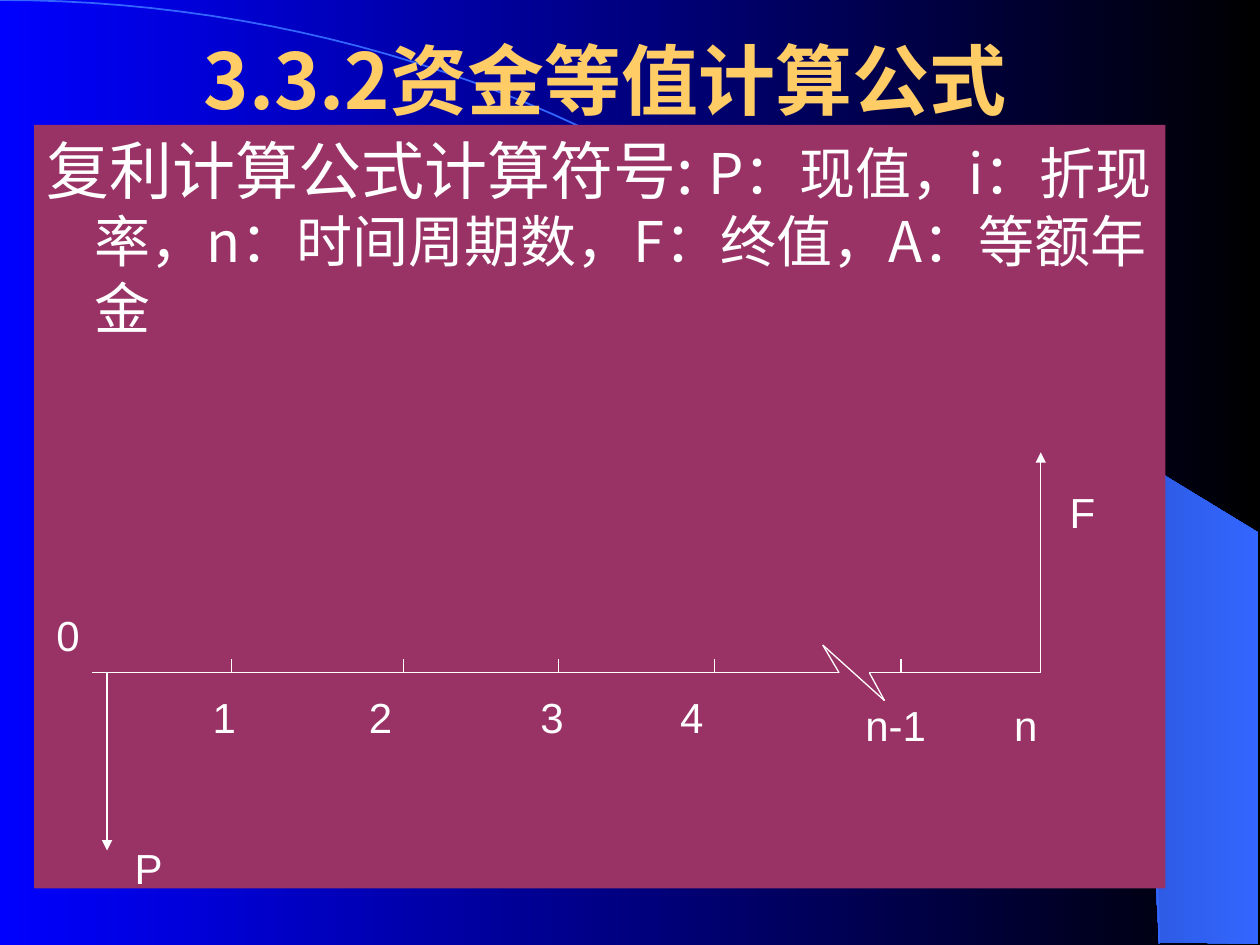
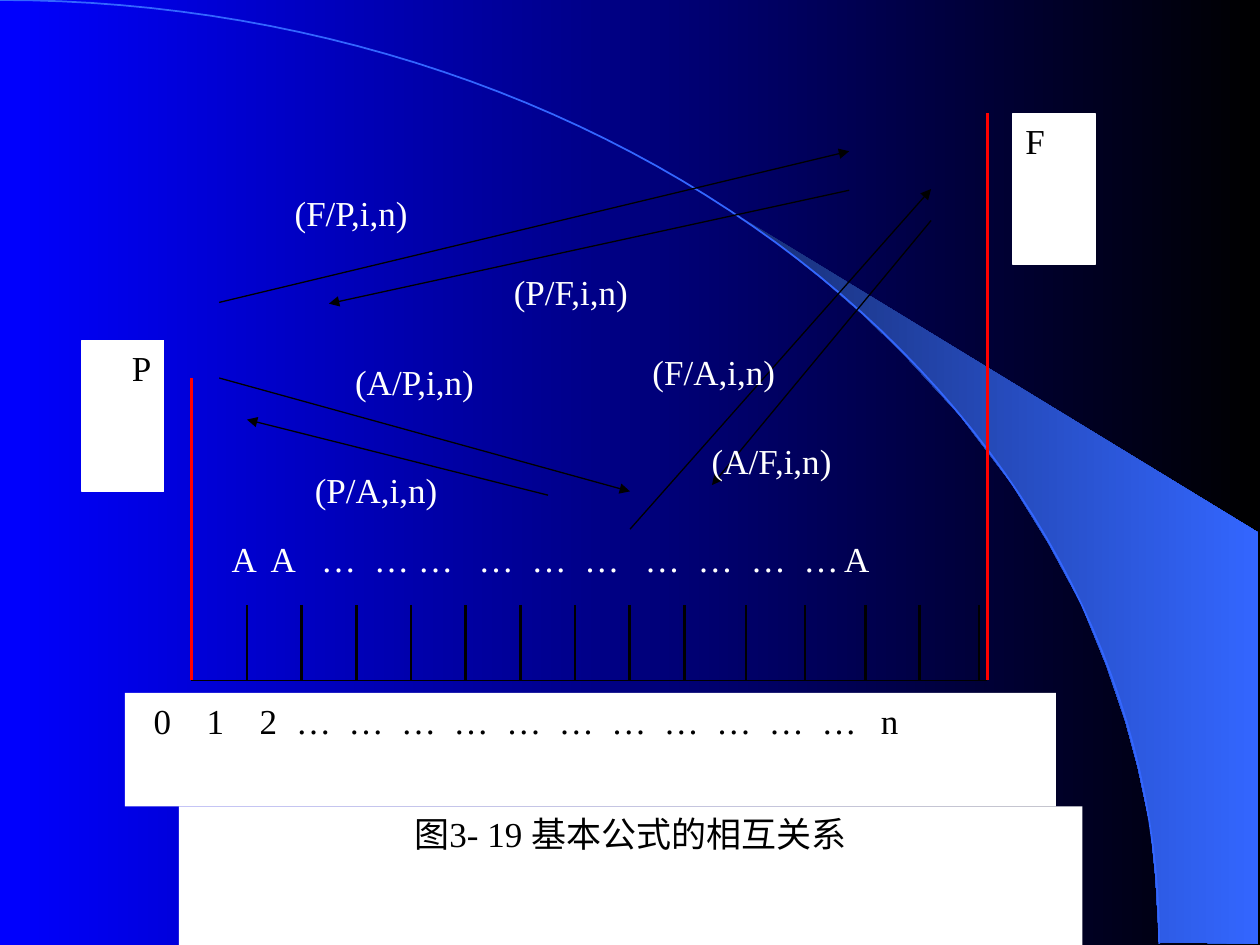
from itertools import pairwise
from math import cos, pi, sin

from lxml import etree
from pptx import Presentation
from pptx.dml.color import RGBColor
from pptx.enum.shapes import MSO_CONNECTOR, MSO_SHAPE
from pptx.enum.text import MSO_ANCHOR, MSO_AUTO_SIZE, PP_ALIGN
from pptx.oxml.ns import qn
from pptx.util import Inches, Pt

LINE, RECT = MSO_CONNECTOR.STRAIGHT, MSO_SHAPE.RECTANGLE
LEFT, MID, RIGHT = PP_ALIGN.LEFT, PP_ALIGN.CENTER, PP_ALIGN.RIGHT

HUES = {"blue": "0000FF", "black": "000000", "navy": "182F76",
        "sky": "3366FF", "plum": "993366", "white": "FFFFFF",
        "gold": "FFCC66", "red": "FF0000"}
SANS, SERIF, HAN = "Arial", "Times New Roman", "Noto Sans CJK SC"

# Shared backdrop: a wedge beside a quarter ellipse
WEDGE = [(9.2, 7.48), (9.99, 7.49), (9.99, 4.23), (5.89, 1.73), (6.24, 1.99),
         (6.53, 2.22), (6.85, 2.5), (7.16, 2.8), (7.62, 3.3), (8.03, 3.84),
         (8.32, 4.31), (8.58, 4.79), (8.78, 5.28), (8.93, 5.72), (9.03, 6.09),
         (9.13, 6.56), (9.17, 6.96)]
ARC_W, ARC_H, ARC_N = 9.2, 7.49, 60

# Slide 1: symbols on a time axis
TITLE = "3.3.2资金等值计算公式"
TERMS = [("复利计算公式计算符号: ", 36),
         ("P：现值，i：折现率，n：时间周期数，F：终值，A：等额年金", 32)]
AXIS_Y = 5.34
AXIS = [(0.73, AXIS_Y), (6.66, AXIS_Y), (6.53, 5.12), (7.02, 5.56),
        (6.9, AXIS_Y), (8.26, AXIS_Y)]
FLOWS = [((0.85, AXIS_Y), (0.85, 6.75)), ((8.26, AXIS_Y), (8.26, 3.59))]
TICKS = [1.84, 3.2, 4.43, 5.67, 7.15]
MARKS = [("0", 0.35, 4.79), ("1", 1.59, 5.44), ("2", 2.83, 5.44),
         ("3", 4.19, 5.44), ("4", 5.3, 5.44), ("n-1", 6.77, 5.5),
         ("n", 7.95, 5.5), ("P", 0.97, 6.64), ("F", 8.39, 3.81)]

# Slide 2: how the formulas relate
BASE, TOP = 5.4, 4.8
BARS = [1.96 + 0.434 * i for i in range(9)] + [5.92, 6.39, 6.87, 7.3, 7.77]
ENDS = [(1.52, 3), (7.84, 0.9)]
LINKS = [((1.74, 2.4), (6.74, 1.2)), ((6.74, 1.51), (2.61, 2.41)),
         ((1.74, 3), (5, 3.9)), ((4.35, 3.93), (1.96, 3.33)),
         ((5, 4.2), (7.39, 1.5)), ((7.39, 1.75), (5.65, 3.85))]
RATES = [("(F/P,i,n)", 2.24, 1.47), ("(P/F,i,n)", 3.98, 2.1),
         ("(A/P,i,n)", 2.72, 2.81), ("(P/A,i,n)", 2.4, 3.67),
         ("(F/A,i,n)", 5.08, 2.73), ("(A/F,i,n)", 5.55, 3.44)]
SUMS = ["A", "A"] + ["…"] * 10 + ["A"]
SUM_TABS = [0.31, 0.71, 1.13, 1.48, 1.96, 2.38, 2.8, 3.28, 3.7, 4.12, 4.54, 4.86]
YEARS = ["0", "1", "2"] + ["…"] * 11 + ["n"]
YEAR_TABS = [0.42, 0.84] + [1.13 + 0.417 * i for i in range(11)] + [5.77]
CAPTION = "图3- 19 基本公式的相互关系"
# text, box, alignment, edge, left inset, tab stops
CARDS = [("\t".join(YEARS), (0.99, 5.5, 7.39, 0.9), LEFT, None, 0.23, YEAR_TABS),
         (CAPTION, (1.42, 6.4, 7.17, 1.1), MID, None, 0.1, []),
         ("P", (0.65, 2.7, 0.65, 1.2), RIGHT, "white", 0.1, []),
         ("F", (8.04, 0.9, 0.65, 1.2), LEFT, "white", 0.1, [])]


def rgb(hue):
    return RGBColor.from_string(HUES[hue])


def blend(fill, *hues):
    fill.gradient()
    fill.gradient_angle = 0
    for stop, hue in zip(fill.gradient_stops, hues):
        stop.color.rgb = rgb(hue)


def style(run, size, font, hue, bold=False):
    run.font.size, run.font.name, run.font.bold = Pt(size), font, bold
    run.font.color.rgb = rgb(hue)
    etree.SubElement(run.font._element, qn("a:ea"), typeface=HAN)


def stroke(line, hue, width):
    line.color.rgb = rgb(hue)
    line.width = Pt(width)


def place(shape, *box):
    shape.left, shape.top, shape.width, shape.height = map(Inches, box)


def link(slide, start, end, hue, width=0.75, arrow=False):
    line = slide.shapes.add_connector(LINE, *map(Inches, (*start, *end)))
    stroke(line.line, hue, width)
    if arrow:
        etree.SubElement(line.line._get_or_add_ln(), qn("a:tailEnd"), type="triangle")
    etree.SubElement(line.element.spPr, qn("a:effectLst"))


def write(shape, text, size, font, hue, align=LEFT, tabs=()):
    frame = shape.text_frame
    frame.word_wrap = True
    frame.vertical_anchor = MSO_ANCHOR.TOP
    para = frame.paragraphs[0]
    para.text = text
    para.alignment = align
    if tabs:
        stops = etree.SubElement(para._p.get_or_add_pPr(), qn("a:tabLst"))
        for x in tabs:
            etree.SubElement(stops, qn("a:tab"), pos=str(Inches(x)), algn="l")
    for run in para.runs:
        style(run, size, font, hue)


def label(slide, text, x, y, w, h, size, font, tabs=()):
    box = slide.shapes.add_textbox(*map(Inches, (x, y, w, h)))
    write(box, text, size, font, "white", tabs=tabs)


def outline(slide, dots, close):
    dots = [(Inches(x), Inches(y)) for x, y in dots]
    pen = slide.shapes.build_freeform(*dots[0])
    pen.add_line_segments(dots[1:], close=close)
    shape = pen.convert_to_shape()
    shape.shadow.inherit = False
    return shape


def backdrop(deck, slide):
    master = deck.slide_master
    blend(master.background.fill, "blue", "black")
    wedge = outline(slide, WEDGE, True)
    blend(wedge.fill, "navy", "sky")
    wedge.line.fill.background()
    turns = [pi / 2 * i / ARC_N for i in range(ARC_N + 1)]
    arc = outline(slide, [(ARC_W * sin(t), ARC_H * (1 - cos(t))) for t in turns], False)
    arc.fill.background()
    stroke(arc.line, "sky", 1)
    # Both outlines belong to the master, behind everything
    for at, shape in enumerate((wedge, arc), 2):
        master.shapes.element.insert(at, shape.element)


def symbols(slide):
    title, body = slide.shapes.title, slide.placeholders[1]
    place(title, 0.59, 0, 8.43, 1.25)
    write(title, TITLE, 44, HAN, "gold", MID)
    title.text_frame.vertical_anchor = MSO_ANCHOR.MIDDLE
    title.text_frame.paragraphs[0].runs[0].font.bold = True

    # Panel with the list of terms
    place(body, 0.27, 0.99, 8.98, 6.06)
    body.fill.solid()
    body.fill.fore_color.rgb = rgb("plum")
    para = body.text_frame.paragraphs[0]
    props = para._p.get_or_add_pPr()
    props.set("marL", str(Inches(0.38)))
    props.set("indent", str(-Inches(0.38)))
    etree.SubElement(props, qn("a:buNone"))
    para.space_before = Pt(0)
    for text, size in TERMS:
        run = para.add_run()
        run.text = text
        style(run, size, HAN, "white")
    for shape in (title, body):
        shape.text_frame.auto_size = MSO_AUTO_SIZE.NONE

    # Time axis
    for start, end in pairwise(AXIS):
        link(slide, start, end, "white")
    for start, end in FLOWS:
        link(slide, start, end, "white", arrow=True)
    for x in TICKS:
        link(slide, (x, AXIS_Y), (x, AXIS_Y - 0.11), "white")
    for text, x, y in MARKS:
        label(slide, text, x, y, 1.15 if len(text) > 1 else 0.87, 0.5, 24, SANS)


def relations(slide):
    # Axis, bars and arrows
    link(slide, (1.52, BASE), (7.83, BASE), "black")
    for x, y in ENDS:
        link(slide, (x, y), (x, BASE), "red", 1.5)
    for x in BARS:
        link(slide, (x, TOP), (x, BASE), "black", 1.5)
    for start, end in LINKS:
        link(slide, start, end, "black", arrow=True)

    # White cards and labels
    label(slide, "\t".join(SUMS), 1.74, 4.22, 6.09, 0.6, 20, SERIF, SUM_TABS)
    for text, box, align, edge, inset, tabs in CARDS:
        card = slide.shapes.add_shape(RECT, *map(Inches, box))
        card.shadow.inherit = False
        card.fill.solid()
        card.fill.fore_color.rgb = rgb("white")
        if edge:
            stroke(card.line, edge, 0.75)
        else:
            card.line.fill.background()
        write(card, text, 20, SERIF, "black", align, tabs)
        card.text_frame.margin_left = Inches(inset)
    for text, x, y in RATES:
        label(slide, text, x, y, 1.5, 0.44, 20, SERIF)


def main():
    deck = Presentation()
    deck.slide_width, deck.slide_height = Inches(10), Inches(7.5)
    first = deck.slides.add_slide(deck.slide_layouts[1])
    backdrop(deck, first)
    symbols(first)
    relations(deck.slides.add_slide(deck.slide_layouts[6]))
    deck.save("out.pptx")


if __name__ == "__main__":
    main()
